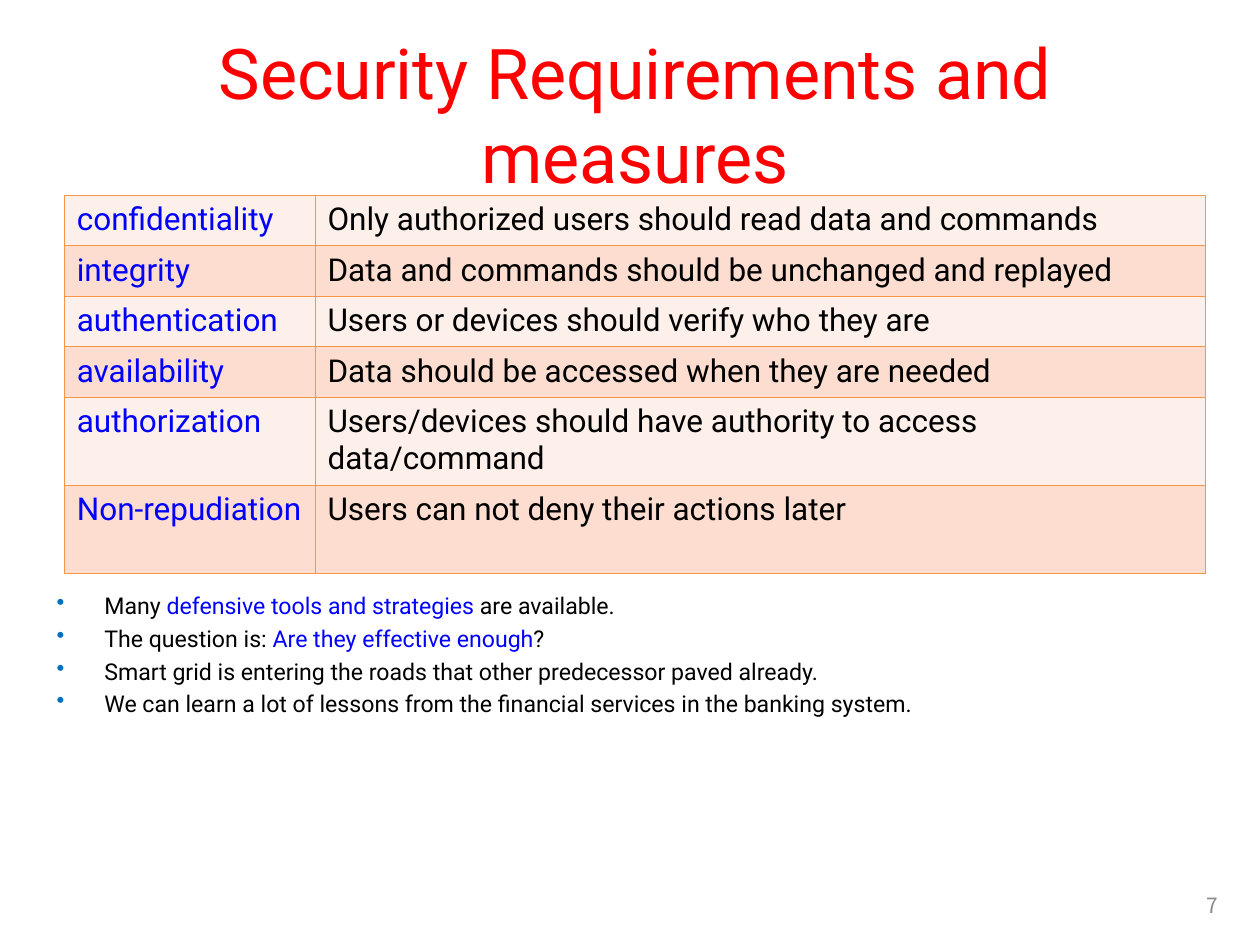
import pptx
import pptx.util
import pptx.dml.color
import pptx.enum.text
import pptx.oxml
import pptx.oxml.ns
from pptx.util import Inches
from lxml import etree

FONT = "Roboto"
BLUE, BLACK = "0000FF", "000000"
BANDS = ["FDEFE9", "FCDDCF"]
EDGE = "F79646"
ALIGN = pptx.enum.text.PP_ALIGN
ANCHOR = pptx.enum.text.MSO_ANCHOR

TERMS = [
    ("confidentiality", "Only authorized users should read data and commands"),
    ("integrity", "Data and commands should be unchanged and replayed"),
    ("authentication", "Users or devices should verify who they are"),
    ("availability", "Data should be accessed when they are needed"),
    ("authorization",
     "Users/devices should have authority to access data/command"),
    ("Non-repudiation", "Users can not deny their actions later"),
]
POINTS = [
    [("Many ", BLACK), ("defensive tools and strategies ", BLUE),
     ("are available.", BLACK)],
    [("The question is: ", BLACK), ("Are they effective enough", BLUE),
     ("?", BLACK)],
    [("Smart grid is entering the roads that other predecessor paved already.",
      BLACK)],
    [("We can learn a lot of lessons from the financial services"
      " in the banking system.", BLACK)],
]


def paint(hue):
    return pptx.dml.color.RGBColor.from_string(hue)


def apply(item, **values):
    for name, value in values.items():
        setattr(item, name, value)


def add_run(para, text, size, hue, font=FONT):
    run = para.add_run()
    run.text = text
    apply(run.font, size=pptx.util.Pt(size), name=font, bold=False)
    run.font.color.rgb = paint(hue)


def add_node(owner, tag, **attrs):
    return etree.SubElement(owner, pptx.oxml.ns.qn(tag), attrs)


def place(shape, box):
    for name, value in zip(("left", "top", "width", "height"), box):
        setattr(shape, name, Inches(value))


def set_title(slide, box):
    title = slide.shapes.title
    place(title, box)
    frame = title.text_frame
    apply(frame, word_wrap=True, vertical_anchor=ANCHOR.MIDDLE,
          auto_size=pptx.enum.text.MSO_AUTO_SIZE.NONE,
          margin_left=Inches(0.2), margin_right=Inches(0.2))
    para = frame.paragraphs[0]
    apply(para, alignment=ALIGN.CENTER, line_spacing=1.0)
    add_run(para, "Security Requirements and measures", 40, "FF0000")


def add_edges(cell):
    props = cell._tc.get_or_add_tcPr()
    for spot, side in enumerate("LRTB"):
        line = pptx.oxml.parse_xml(
            f'<a:ln{side} {pptx.oxml.ns.nsdecls("a")} w="5715"><a:solidFill>'
            f'<a:srgbClr val="{EDGE}"/></a:solidFill></a:ln{side}>')
        props.insert(spot, line)


def add_terms(slide, box):
    left, top, width, height = map(Inches, box)
    table = slide.shapes.add_table(
        len(TERMS), 2, left, top, width, height).table
    apply(table, first_row=False, horz_banding=False)
    table.columns[0].width = Inches(1.99)
    table.columns[1].width = width - Inches(1.99)
    for row, texts in enumerate(TERMS):
        # The last two rows are tall
        table.rows[row].height = Inches(0.4 if row < 4 else 0.7)
        for col, text in enumerate(texts):
            cell = table.cell(row, col)
            cell.fill.solid()
            cell.fill.fore_color.rgb = paint(BANDS[row % 2])
            add_edges(cell)
            add_run(cell.text_frame.paragraphs[0], text, 18,
                    (BLUE, BLACK)[col])


def add_points(slide, box):
    frame = slide.shapes.add_textbox(*map(Inches, box)).text_frame
    frame.word_wrap = True
    for row, parts in enumerate(POINTS):
        para = frame.add_paragraph() if row else frame.paragraphs[0]
        apply(para, line_spacing=0.8, space_before=pptx.util.Pt(6))
        # Bullet and hanging indent
        props = para._p.get_or_add_pPr()
        props.set("marL", str(Inches(0.38)))
        props.set("indent", str(-Inches(0.38)))
        add_node(add_node(props, "a:buClr"), "a:srgbClr", val="0070C0")
        add_node(props, "a:buChar", char="•")
        for text, hue in parts:
            add_run(para, text, 13.2, hue)


def add_number(slide, box):
    frame = slide.shapes.add_textbox(*map(Inches, box)).text_frame
    apply(frame, word_wrap=True, vertical_anchor=ANCHOR.MIDDLE)
    para = frame.paragraphs[0]
    para.alignment = ALIGN.RIGHT
    add_run(para, "7", 12, "898989", "Noto Sans CJK KR")


def main():
    deck = pptx.Presentation()
    apply(deck, slide_width=Inches(10), slide_height=Inches(7.5))
    slide = deck.slides.add_slide(deck.slide_layouts[5])
    set_title(slide, (0.35, 0.28, 9.38, 1.24))
    add_points(slide, (0.35, 4.69, 9.15, 1.3))
    add_number(slide, (7.44, 6.98, 2.33, 0.4))
    add_terms(slide, (0.51, 1.55, 9.06, 3))
    deck.save("out.pptx")


if __name__ == "__main__":
    main()
